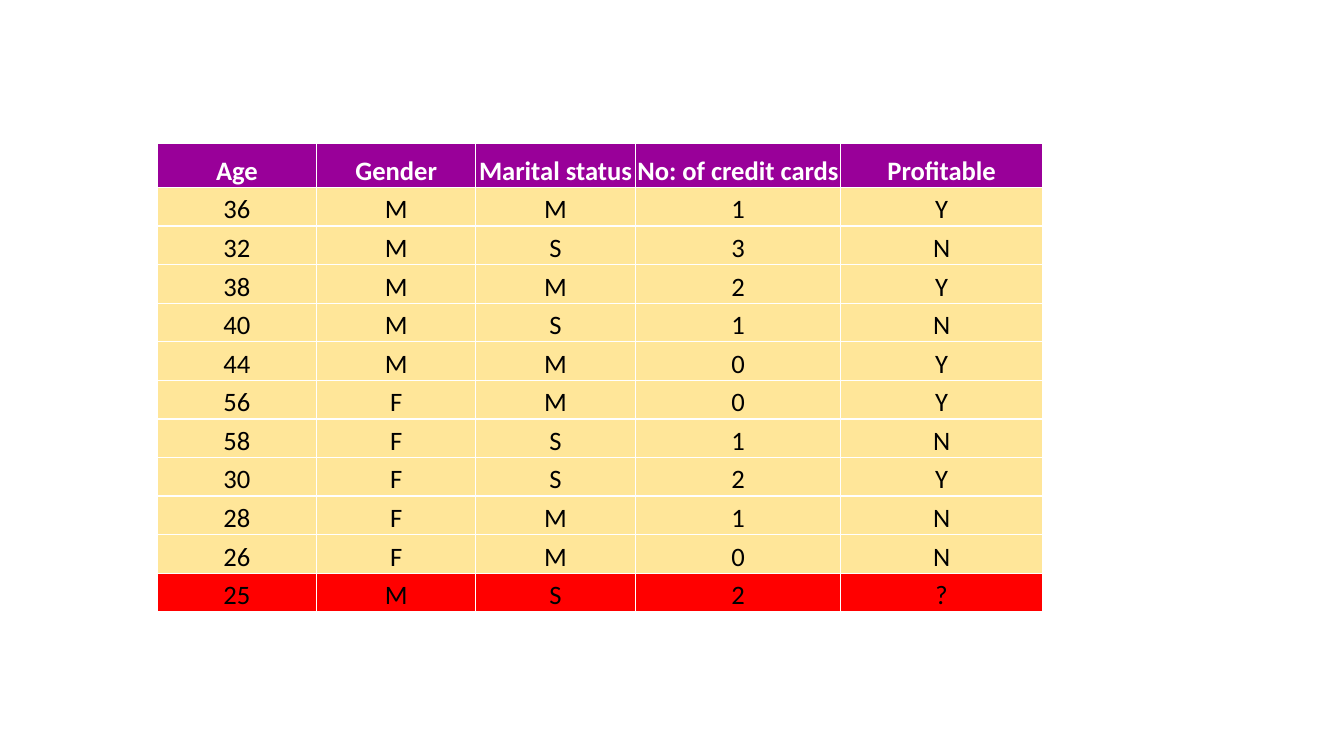
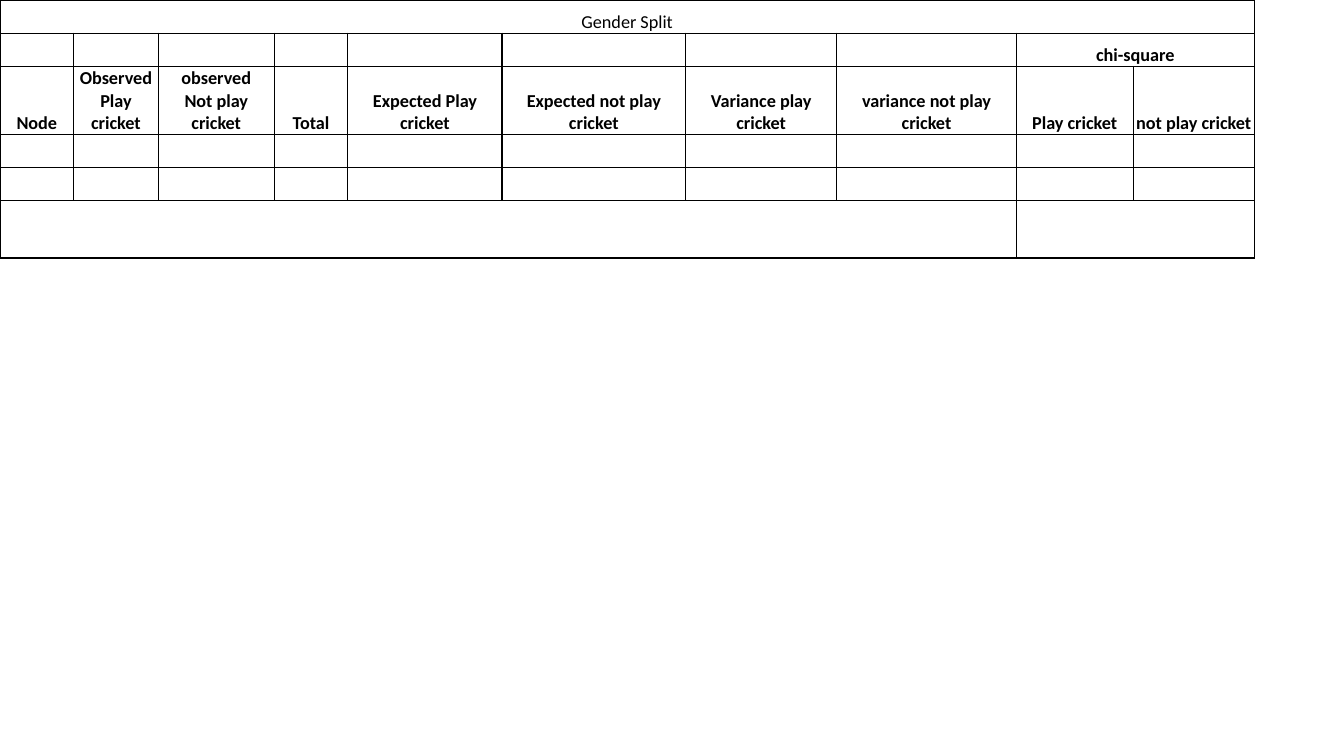
import pptx
import pptx.dml.color
import pptx.enum.text
import pptx.oxml
import pptx.oxml.ns
import pptx.util
from pptx.util import Inches, Pt

FONT = "Calibri"
WHITE, BLACK = "FFFFFF", "000000"
PURPLE, CREAM, RED = "990099", "FFE699", "FF0000"


def rgb(color):
    return pptx.dml.color.RGBColor.from_string(color)


def add_grid(slide, left, top, widths, heights, rows, styles, size, border, merges=()):
    """Add a table; styles holds (fill, text colour, bold) per row,
    merges holds (row, first column, last column)."""
    table = slide.shapes.add_table(
        len(heights), len(widths), Inches(left), Inches(top),
        Inches(sum(widths)), Inches(sum(heights))).table
    table.first_row = table.horz_banding = False
    for column, width in zip(table.columns, widths):
        column.width = Inches(width)
    for row, height in zip(table.rows, heights):
        row.height = Inches(height)
    for r, first, last in merges:
        table.cell(r, first).merge(table.cell(r, last))

    for r, (texts, (fill, color, bold)) in enumerate(zip(rows, styles)):
        for c, text in enumerate(texts):
            cell = table.cell(r, c)
            cell.margin_left = cell.margin_right = cell.margin_top = Inches(0.01)
            cell.margin_bottom = 0
            cell.vertical_anchor = pptx.enum.text.MSO_ANCHOR.BOTTOM
            for side in ("lnL", "lnR", "lnT", "lnB"):
                cell._tc.get_or_add_tcPr().append(pptx.oxml.parse_xml(
                    f'<a:{side} {pptx.oxml.ns.nsdecls("a")} w="{Pt(1)}">'
                    f'<a:solidFill><a:srgbClr val="{border}"/></a:solidFill></a:{side}>'))
            cell.fill.solid()
            cell.fill.fore_color.rgb = rgb(fill)
            cell.text = text
            for p in cell.text_frame.paragraphs:
                p.alignment = pptx.enum.text.PP_ALIGN.CENTER
                p.font.name = FONT
                p.font.size = Pt(size)
                p.font.bold = bold
                p.font.color.rgb = rgb(color)


prs = pptx.Presentation()
prs.slide_width, prs.slide_height = Inches(13.33), Inches(7.5)
blank = prs.slide_layouts[6]

# Customer table
customers = [
    ["Age", "Gender", "Marital status", "No: of credit cards", "Profitable"],
    ["36", "M", "M", "1", "Y"],
    ["32", "M", "S", "3", "N"],
    ["38", "M", "M", "2", "Y"],
    ["40", "M", "S", "1", "N"],
    ["44", "M", "M", "0", "Y"],
    ["56", "F", "M", "0", "Y"],
    ["58", "F", "S", "1", "N"],
    ["30", "F", "S", "2", "Y"],
    ["28", "F", "M", "1", "N"],
    ["26", "F", "M", "0", "N"],
    ["25", "M", "S", "2", "?"],
]
known = len(customers) - 2
add_grid(
    prs.slides.add_slide(blank), 1.56, 1.42,
    widths=[1.58] * 3 + [2.04, 2], heights=[0.44] + [0.383] * (known + 1),
    rows=customers,
    styles=[(PURPLE, WHITE, True)] + [(CREAM, BLACK, False)] * known + [(RED, BLACK, False)],
    size=19, border=WHITE)

# Chi-square worksheet
empty = [""] * 10
worksheet = [
    ["Gender Split"] + [""] * 9,
    [""] * 8 + ["chi-square", ""],
    ["Node", "Observed\nPlay cricket", "observed\nNot play cricket", "Total",
     "Expected Play cricket", "Expected not play cricket", "Variance play cricket",
     "variance not play cricket", "Play cricket", "not play cricket"],
    empty, empty, empty,
]
add_grid(
    prs.slides.add_slide(blank), 0, 0,
    widths=[0.73, 0.84, 1.15, 0.73, 1.53, 1.82, 1.5, 1.78, 1.16, 1.2],
    heights=[0.33, 0.33, 0.67, 0.33, 0.33, 0.57],
    rows=worksheet,
    styles=[(WHITE, BLACK, False)] + [(WHITE, BLACK, True)] * 5,
    size=13, border=BLACK,
    merges=[(0, 0, 9), (1, 8, 9), (5, 0, 7), (5, 8, 9)])

prs.save("out.pptx")
